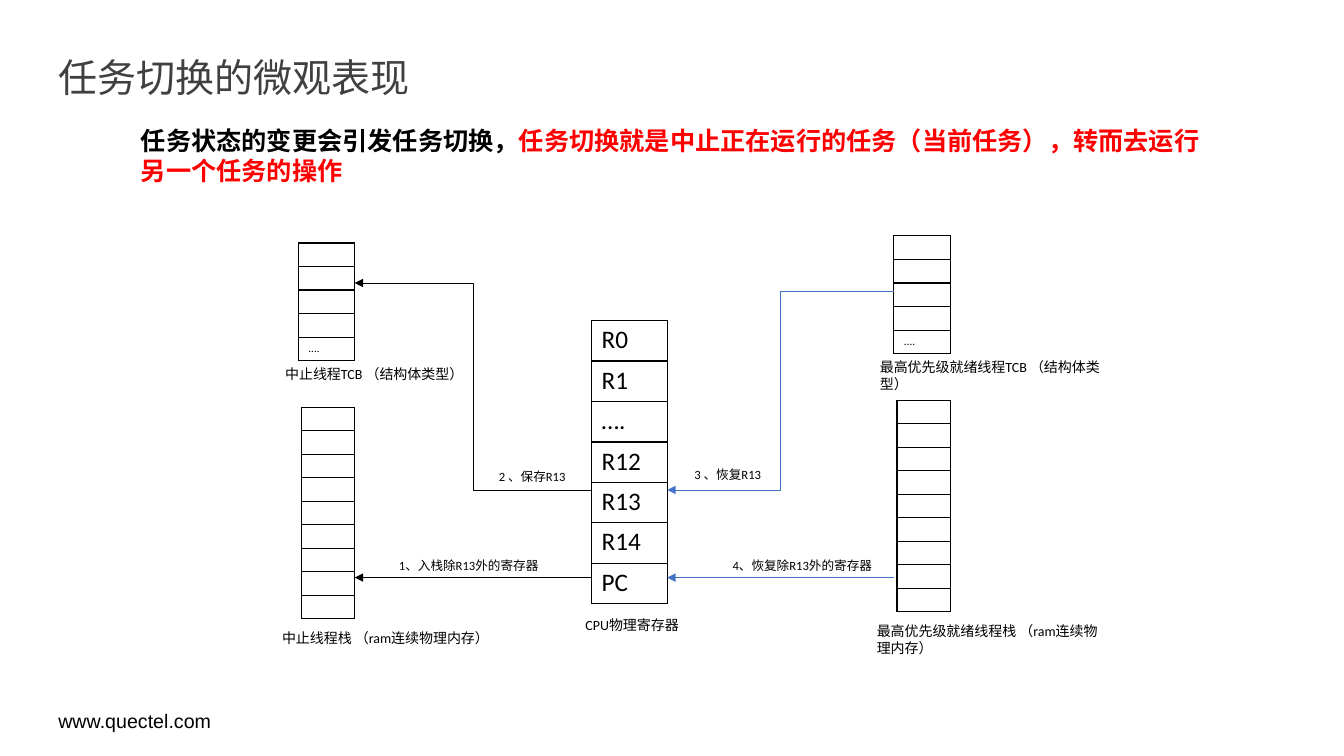
"""Slide showing how a task switch saves and restores CPU registers."""
from lxml.etree import SubElement
from pptx import Presentation
from pptx.dml.color import RGBColor
from pptx.enum.shapes import MSO_CONNECTOR
from pptx.enum.text import MSO_ANCHOR, PP_ALIGN
from pptx.oxml.ns import qn
from pptx.util import Pt

COLORS = {"text": "000000", "title": "404040", "accent": "FF0000", "restore": "4472C4"}
CJK_FONT = "Noto Sans CJK SC"


def write(paragraph, text, size, color="text", latin="Calibri", bold=False):
    run = paragraph.add_run()
    run.text = text
    for name, value in {"size": Pt(size), "bold": bold, "name": latin}.items():
        setattr(run.font, name, value)
    run.font.color.rgb = RGBColor.from_string(COLORS[color])
    run.font._element.find(qn("a:latin")).addnext(
        run.font._element.makeelement(qn("a:ea"), {"typeface": CJK_FONT}))


def add_label(left, top, width, height):
    frame = slide.shapes.add_textbox(Pt(left), Pt(top), Pt(width), Pt(height)).text_frame
    frame.word_wrap = True
    return frame


prs = Presentation()
prs.slide_width, prs.slide_height = Pt(960), Pt(540)
slide = prs.slides.add_slide(prs.slide_layouts[5])

title = slide.shapes.title
for name, value in {"left": 34.6, "top": 39.6, "width": 871.2, "height": 35.3}.items():
    setattr(title, name, Pt(value))
title.text_frame.vertical_anchor = MSO_ANCHOR.MIDDLE
heading = title.text_frame.paragraphs[0]
for name, value in {"alignment": PP_ALIGN.LEFT, "line_spacing": 0.9}.items():
    setattr(heading, name, value)
write(heading, "任务切换的微观表现", 27.9, "title", CJK_FONT)

website = add_label(34.6, 504.7, 871.2, 22.3)
website.vertical_anchor = MSO_ANCHOR.MIDDLE
website.paragraphs[0].line_spacing = 0.9
write(website.paragraphs[0], "www.quectel.com", 14, latin="Arial")

summary = add_label(93.6, 85.7, 773.3, 51.1).paragraphs[0]
write(summary, "任务状态的变更会引发任务切换，", 18, bold=True)
write(summary, "任务切换就是中止正在运行的任务（当前任务），转而去运行另一个任务的操作",
      18, "accent", bold=True)

registers = ["R0", "R1", "….", "R12", "R13", "R14", "PC"]
tcb_fields = [""] * 4 + ["...."]
stack_words = [""] * 9
blocks = [(422.6, 229, 54.4, 28.9, 18, registers)]
for shift_x, shift_y in [(0, 0), (425.4, -5)]:
    blocks += [
        (213.1, 173.5, 40.2, 16.85, 8, tcb_fields),
        (215.3, 290.9, 38.2, 16.8, 8, stack_words),
    ] if not shift_x else [
        (213.1 + shift_x, 173.5 + shift_y, 40.2, 16.85, 8, tcb_fields),
        (215.3 + shift_x, 290.9 + shift_y, 38.2, 16.8, 8, stack_words),
    ]

for left, top, width, row_height, size, entries in blocks:
    table = slide.shapes.add_table(len(entries), 1, Pt(left), Pt(top), Pt(width),
                                   Pt(row_height * len(entries))).table
    table.first_row = table.horz_banding = False
    table.columns[0].width = Pt(width)
    for row, entry in zip(table.rows, entries):
        row.height = Pt(row_height)
        cell = row.cells[0]
        cell.margin_top = cell.margin_bottom = Pt(3)
        for side in ("a:lnL", "a:lnR", "a:lnT", "a:lnB"):
            border = SubElement(cell._tc.get_or_add_tcPr(), qn(side), w=str(Pt(1)))
            SubElement(SubElement(border, qn("a:solidFill")), qn("a:srgbClr"),
                       val=COLORS["text"])
        cell.fill.background()
        paragraph = cell.text_frame.paragraphs[0]
        if entry:
            write(paragraph, entry, size)
        else:
            SubElement(paragraph._p, qn("a:endParaRPr"), sz=str(size * 100))

captions = [
    (411.1, 437, 172.8, 19.4, 10, "CPU物理寄存器"),
    (196.6, 257.8, 172.8, 19.4, 10, "中止线程TCB （结构体类型）"),
    (194.4, 446.4, 172.8, 19.4, 10, "中止线程栈 （ram连续物理内存）"),
    (621.4, 252.7, 172.8, 31.7, 10, "最高优先级就绪线程TCB （结构体类型）"),
    (619.2, 441.4, 172.8, 31.7, 10, "最高优先级就绪线程栈 （ram连续物理内存）"),
    (277.9, 394.6, 118.1, 18, 9, "1、入栈除R13外的寄存器"),
    (516.2, 394.6, 124, 18, 9, "4、恢复除R13外的寄存器"),
    (349.2, 331.2, 66.2, 18, 9, "2 、保存R13"),
    (488.9, 329.8, 66.2, 18, 9, "3 、恢复R13"),
]
for left, top, width, height, size, text in captions:
    write(add_label(left, top, width, height).paragraphs[0], text, size)

transfers = [
    (MSO_CONNECTOR.ELBOW, 422.6, 350, 253.4, 202.2, "text"),
    (MSO_CONNECTOR.ELBOW, 638.6, 208.1, 476.6, 350, "restore"),
    (MSO_CONNECTOR.STRAIGHT, 422.6, 412.6, 253.4, 412.6, "text"),
    (MSO_CONNECTOR.STRAIGHT, 638.6, 412.6, 476.6, 412.6, "restore"),
]
for route, start_x, start_y, end_x, end_y, color in transfers:
    arrow = slide.shapes.add_connector(route, Pt(start_x), Pt(start_y), Pt(end_x), Pt(end_y))
    arrow.line.width = Pt(0.5)
    arrow.line.color.rgb = RGBColor.from_string(COLORS[color])
    SubElement(arrow.line._get_or_add_ln(), qn("a:tailEnd"), type="triangle")
    SubElement(arrow._element.spPr, qn("a:effectLst"))

prs.save("out.pptx")
